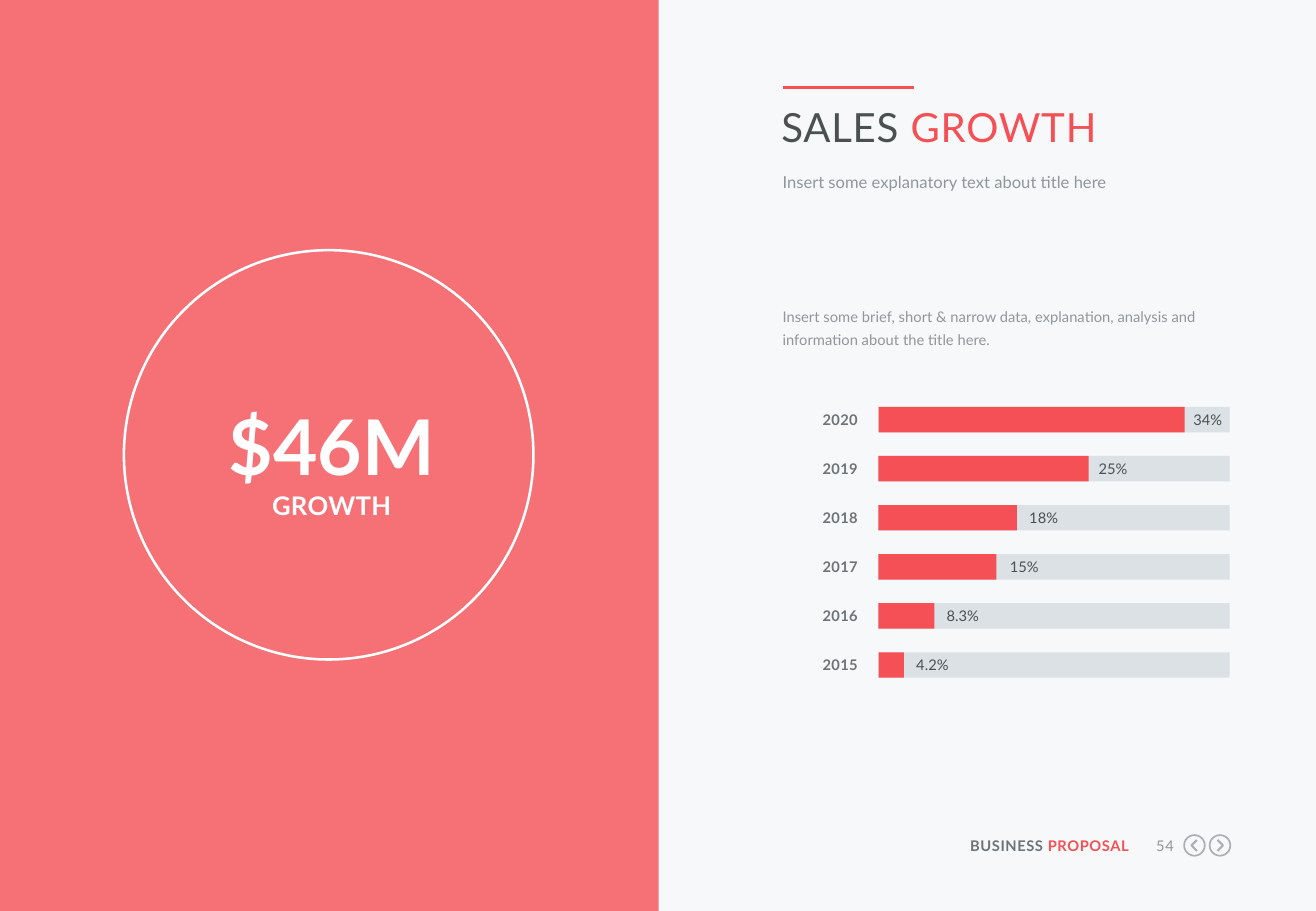
import pptx
import pptx.dml.color
import pptx.enum.shapes
import pptx.enum.text
import pptx.oxml.ns
import pptx.util
from lxml import etree
from pptx.util import Inches

RED = "F55055"
WHITE = "FFFFFF"
DARK = "4B5050"
SLATE = "6E7378"
GREY = "91969B"
ICON = "AAAFB4"
TRACK = "DCE1E6"
FONT = "Lato"

LEFT = pptx.enum.text.PP_ALIGN.LEFT
CENTER = pptx.enum.text.PP_ALIGN.CENTER
RIGHT = pptx.enum.text.PP_ALIGN.RIGHT
RECTANGLE = pptx.enum.shapes.MSO_SHAPE.RECTANGLE
OVAL = pptx.enum.shapes.MSO_SHAPE.OVAL

# Year, bar width, label left, label
SALES = [
    ("2020", 2.52, 9.82, "34%"),
    ("2019", 1.73, 9.04, "25%"),
    ("2018", 1.14, 8.47, "18%"),
    ("2017", 0.97, 8.31, "15%"),
    ("2016", 0.46, 7.79, "8.3%"),
    ("2015", 0.21, 7.54, "4.2%"),
]
BAR_LEFT, BAR_TOP, BAR_HEIGHT = 7.23, 3.35, 0.21
TRACK_WIDTH = 2.89
LAST_BAR_TOP = 5.37


def color(value):
    return pptx.dml.color.RGBColor.from_string(value)


def add_text(slide, box, runs, size, align=LEFT, bold=False, tracking=0, spacing=None):
    """Add one paragraph; runs is a list of (text, colour) pairs."""
    shape = slide.shapes.add_textbox(*map(Inches, box))
    frame = shape.text_frame
    frame.word_wrap = True
    frame.auto_size = pptx.enum.text.MSO_AUTO_SIZE.SHAPE_TO_FIT_TEXT
    frame.margin_left = frame.margin_right = 0
    frame.margin_top = frame.margin_bottom = 0
    paragraph = frame.paragraphs[0]
    paragraph.alignment = align
    if spacing:
        paragraph.line_spacing = spacing
    paragraph.font.name = FONT
    paragraph.font.size = pptx.util.Pt(size)
    paragraph.font.bold = bold
    for text, run_color in runs:
        run = paragraph.add_run()
        run.text = text
        run.font.color.rgb = color(run_color)
        if tracking:
            run.font._element.set("spc", str(round(tracking * 100)))


def style_shape(shape, fill=None, line=None, weight=1):
    shape.shadow.inherit = False
    if fill:
        shape.fill.solid()
        shape.fill.fore_color.rgb = color(fill)
    else:
        shape.fill.background()
    if line:
        shape.line.color.rgb = color(line)
        shape.line.width = pptx.util.Pt(weight)
    else:
        shape.line.fill.background()


def add_shape(slide, kind, box, fill=None, line=None, weight=1):
    shape = slide.shapes.add_shape(kind, *map(Inches, box))
    style_shape(shape, fill, line, weight)
    return shape


def set_opacity(shape, percent):
    fill_color = shape._element.spPr.find(".//" + pptx.oxml.ns.qn("a:srgbClr"))
    alpha = etree.SubElement(fill_color, pptx.oxml.ns.qn("a:alpha"))
    alpha.set("val", str(percent * 1000))


def add_line(slide, start, end, line, weight):
    connector = slide.shapes.add_connector(
        pptx.enum.shapes.MSO_CONNECTOR.STRAIGHT, *map(Inches, start + end))
    connector.line.color.rgb = color(line)
    connector.line.width = pptx.util.Pt(weight)
    etree.SubElement(connector._element.spPr, pptx.oxml.ns.qn("a:effectLst"))


def add_arrow_button(slide, center_x, center_y, direction):
    """Draw a ringed chevron; direction is 1 for next, -1 for previous."""
    radius = 0.085
    add_shape(slide, OVAL, (center_x - radius, center_y - radius, 2 * radius, 2 * radius),
              line=ICON, weight=1)
    back, tip = center_x - 0.02 * direction, center_x + 0.025 * direction
    builder = slide.shapes.build_freeform(
        Inches(back), Inches(center_y - 0.045), scale=1.0)
    builder.add_line_segments(
        [(Inches(tip), Inches(center_y)), (Inches(back), Inches(center_y + 0.045))],
        close=False)
    style_shape(builder.convert_to_shape(), line=ICON, weight=1.25)


def add_sales_bar(slide, top, year, width, label_left, label):
    add_text(slide, (6.43, top + 0.03, 0.63, 0.15), [(year, SLATE)], 8.7,
             RIGHT, bold=True, tracking=0.2)
    for bar_width, fill in ((TRACK_WIDTH, TRACK), (width, RED)):
        add_shape(slide, RECTANGLE, (BAR_LEFT, top, bar_width, BAR_HEIGHT), fill)
    add_text(slide, (label_left, top + 0.03, 0.29, 0.15), [(label, DARK)], 8.7)


def main():
    presentation = pptx.Presentation()
    presentation.slide_width = Inches(10.83)
    presentation.slide_height = Inches(7.5)
    slide = presentation.slides.add_slide(presentation.slide_layouts[6])
    slide.background.fill.solid()
    slide.background.fill.fore_color.rgb = color("F6F8FA")

    # Footer
    add_text(slide, (7.92, 6.89, 1.37, 0.15), [("BUSINESS ", SLATE), ("PROPOSAL", RED)],
             8.7, RIGHT, bold=True, tracking=0.3)
    add_text(slide, (9.41, 6.89, 0.25, 0.15), [("54", GREY)], 8.7, RIGHT, tracking=0.3)
    add_arrow_button(slide, 9.83, 6.96, -1)
    add_arrow_button(slide, 10.04, 6.96, 1)

    # Left panel with the headline figure
    panel = add_shape(slide, RECTANGLE, (0, 0, 5.42, 7.5), RED)
    set_opacity(panel, 80)
    add_shape(slide, OVAL, (1.02, 2.06, 3.37, 3.37), line=WHITE, weight=1.5)
    add_text(slide, (1.6, 3.13, 2.26, 0.92), [("$46M", WHITE)], 45.5, CENTER,
             bold=True, spacing=1.2)
    add_text(slide, (1.6, 4.03, 2.26, 0.26), [("GROWTH", WHITE)], 15.2, CENTER,
             bold=True, tracking=0.2)

    # Title and introduction
    add_line(slide, (6.44, 0.72), (7.52, 0.72), RED, 2.25)
    add_text(slide, (6.43, 0.84, 3.7, 0.4), [("SALES ", DARK), ("GROWTH", RED)],
             23.8, tracking=0.5)
    add_text(slide, (6.44, 1.41, 3.69, 0.17),
             [("Insert some explanatory text about title here", GREY)], 9.8,
             spacing=pptx.util.Pt(12))
    add_text(slide, (6.44, 2.49, 3.68, 0.38),
             [("Insert some brief, short & narrow data, explanation, analysis and "
               "information about the title here.", GREY)], 8.7, spacing=1.3)

    # Sales bars
    pitch = (LAST_BAR_TOP - BAR_TOP) / (len(SALES) - 1)
    for index, sale in enumerate(SALES):
        add_sales_bar(slide, BAR_TOP + index * pitch, *sale)

    presentation.save("out.pptx")


if __name__ == "__main__":
    main()
